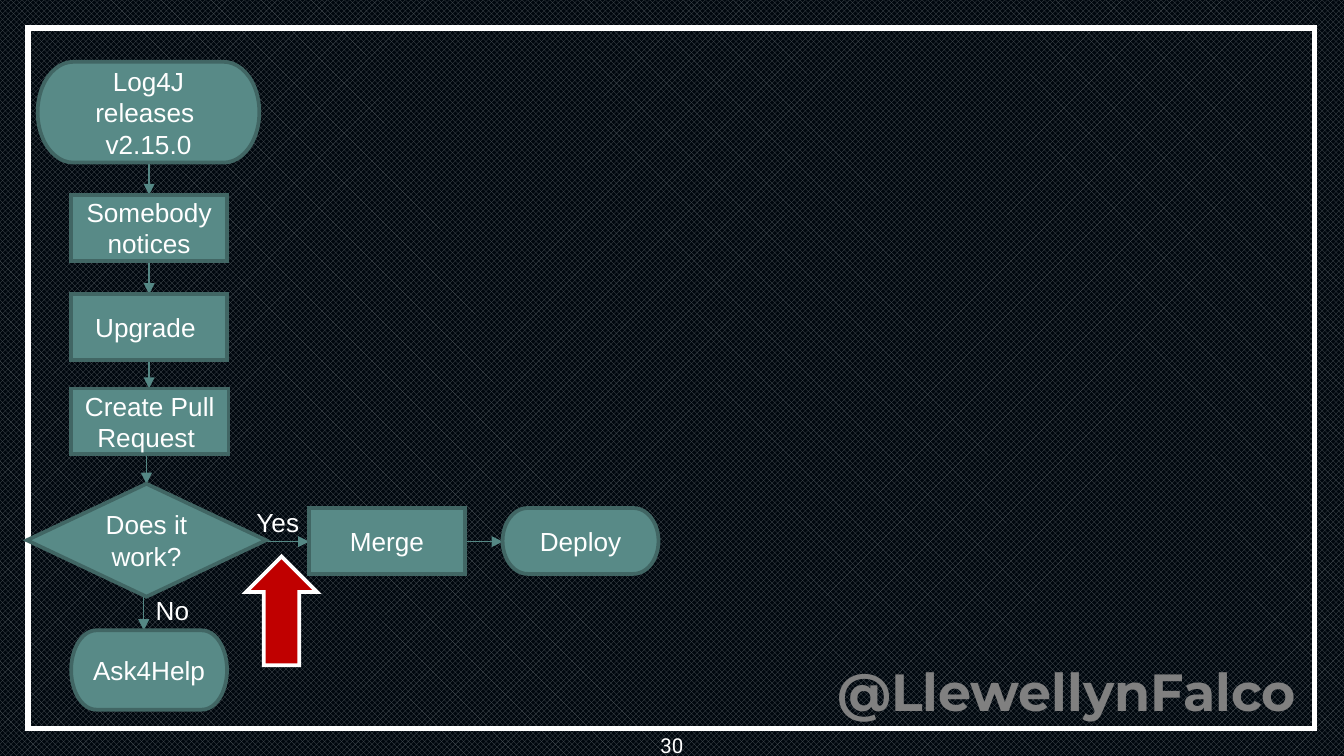
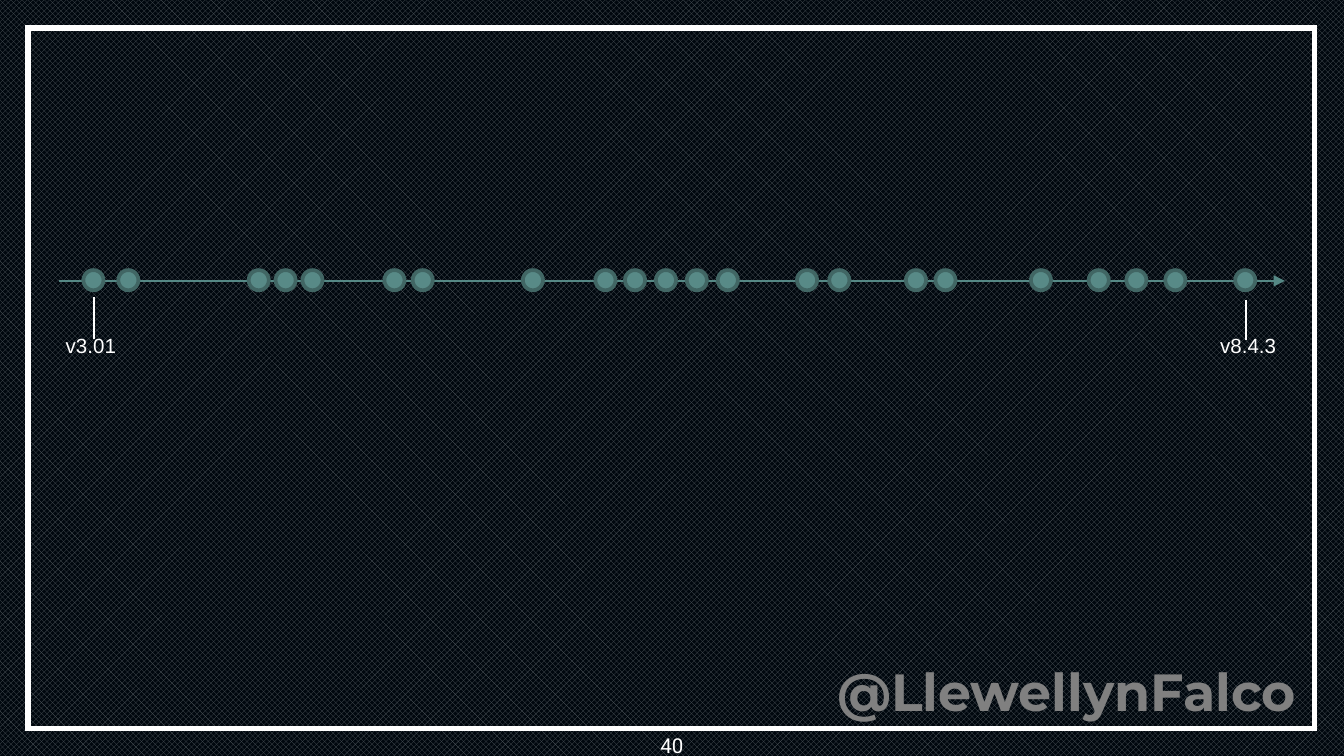
from dataclasses import dataclass

from lxml.etree import SubElement
from pptx import Presentation
from pptx.dml.color import RGBColor
from pptx.enum.dml import MSO_PATTERN
from pptx.enum.shapes import MSO_CONNECTOR, MSO_SHAPE as Shape
from pptx.enum.text import MSO_ANCHOR, PP_ALIGN
from pptx.oxml.ns import qn
from pptx.util import Inches, Pt


@dataclass(frozen=True)
class Theme:
    black: str = "000000"
    gray: str = "808080"
    navy: str = "021526"
    white: str = "FFFFFF"
    teal: str = "588A87"
    teal_edge: str = "416664"
    teal_line: str = "558885"
    red: str = "C00000"
    body_font: str = "Arial"
    handle_font: str = "Montserrat"
    number_font: str = "Roboto"
    handle_size: int = 28
    step_size: int = 14
    small_size: int = 11
    navy_opacity: int = 38
    thin: float = 0.75
    edge: float = 2
    frame: float = 3


THEME = Theme()

# Shared content
SLIDE_W = 10
SLIDE_H = SLIDE_W * 9 / 16
HANDLE = "@LlewellynFalco"

# Flow chart content: step -> (shape, box, paragraphs)
STEPS = {
    "release": (Shape.FLOWCHART_TERMINATOR, (0.28, 0.46, 1.65, 0.75),
                ["Log4J releases ", "v2.15.0"]),
    "notice": (Shape.FLOWCHART_PROCESS, (0.53, 1.45, 1.16, 0.49), ["Somebody notices"]),
    "upgrade": (Shape.FLOWCHART_PROCESS, (0.53, 2.19, 1.16, 0.49), ["Upgrade "]),
    "request": (Shape.FLOWCHART_PROCESS, (0.53, 2.89, 1.17, 0.49), ["Create Pull Request "]),
    "check": (Shape.FLOWCHART_DECISION, (0.2, 3.6, 1.78, 0.84), ["Does it work?"]),
    "help": (Shape.FLOWCHART_TERMINATOR, (0.53, 4.69, 1.16, 0.59), ["Ask4Help"]),
    "merge": (Shape.FLOWCHART_PROCESS, (2.3, 3.78, 1.16, 0.49), ["Merge"]),
    "deploy": (Shape.FLOWCHART_TERMINATOR, (3.74, 3.78, 1.16, 0.49), ["Deploy"]),
}
DOWN_LINKS = [  # from, to, x
    ("release", "notice", 1.11),
    ("notice", "upgrade", 1.11),
    ("upgrade", "request", 1.11),
    ("request", "check", 1.09),
    ("check", "help", 1.07),
]
RIGHT_LINKS = [("check", "merge"), ("merge", "deploy")]
RIGHT_LINK_Y = 4.03
ANSWERS = [("Yes", (1.81, 3.72, 0.54, 0.34)), ("No", (1.06, 4.37, 0.45, 0.34))]
POINTER_BOX = (1.69, 4.28, 0.81, 0.53)

# Timeline content
TIMELINE_X, TIMELINE_Y = (0.44, 9.56), 2.09
RELEASE_LEFTS = [0.62, 0.88, 1.85, 2.05, 2.25, 2.86, 3.07, 3.89, 4.43, 4.65, 4.88,
                 5.11, 5.34, 5.93, 6.17, 6.74, 6.96, 7.67, 8.1, 8.38, 8.67, 9.19]
DOT_TOP, DOT_SIZE = 2.01, 0.15
VERSIONS = [  # label, box, tick x, tick top, tick bottom
    ("v3.01", (0.39, 2.43, 0.58, 0.29), 0.7, 2.21, 2.52),
    ("v8.4.3", (8.98, 2.43, 0.62, 0.29), 9.27, 2.23, 2.53),
]


def rgb(color):
    return RGBColor.from_string(color)


def inches(box):
    return [Inches(value) for value in box]


def write(frame, paragraphs, size, font, color, align=None, bold=None):
    frame.text = "\n".join(paragraphs)
    for paragraph in frame.paragraphs:
        paragraph.alignment = align
        paragraph.font.size = Pt(size)
        paragraph.font.name = font
        paragraph.font.bold = bold
        paragraph.font.color.rgb = rgb(color)


def add_block(slide, kind, box, fill=None, edge=None, width=THEME.edge):
    block = slide.shapes.add_shape(kind, *inches(box))
    block.shadow.inherit = False
    if fill:
        block.fill.solid()
        block.fill.fore_color.rgb = rgb(fill)
    else:
        block.fill.background()
    if edge:
        block.line.color.rgb = rgb(edge)
        block.line.width = Pt(width)
        # Square corners
        SubElement(block._element.spPr.find(qn("a:ln")), qn("a:miter"), lim="800000")
    else:
        block.line.fill.background()
    return block


def add_label(slide, text, box, size, font=THEME.body_font, color=THEME.white,
              align=None, bold=None, wrap=False):
    frame = slide.shapes.add_textbox(*inches(box)).text_frame
    frame.word_wrap = wrap
    write(frame, [text], size, font, color, align, bold)
    return frame


def add_line(slide, start, end, color=THEME.teal_line, arrow=True):
    line = slide.shapes.add_connector(MSO_CONNECTOR.STRAIGHT, *inches(start + end))
    line.line.color.rgb = rgb(color)
    line.line.width = Pt(THEME.thin)
    properties = line._element.spPr
    if arrow:
        SubElement(properties.find(qn("a:ln")), qn("a:tailEnd"), type="triangle")
    SubElement(properties, qn("a:effectLst"))


def add_slide(deck, number):
    """Blank slide with the shared background, frame, handle and number."""
    slide = deck.slides.add_slide(deck.slide_layouts[6])
    backdrop = slide.background.fill
    backdrop.patterned()
    backdrop.pattern = MSO_PATTERN.TRELLIS
    backdrop.fore_color.rgb = rgb(THEME.gray)
    backdrop.back_color.rgb = rgb(THEME.black)

    veil = add_block(slide, Shape.RECTANGLE, (0, 0, SLIDE_W, 5.64), THEME.navy)
    veil_color = veil._element.spPr.find(qn("a:solidFill"))[0]
    SubElement(veil_color, qn("a:alpha"), val=str(THEME.navy_opacity * 1000))
    add_block(slide, Shape.RECTANGLE, (0.21, 0.21, 9.57, 5.21),
              edge=THEME.white, width=THEME.frame)

    add_label(slide, HANDLE, (6.13, 4.86, 3.95, 0.57), THEME.handle_size,
              THEME.handle_font, THEME.gray, bold=True, wrap=True)
    footer = add_label(slide, str(number), (0, 5.36, SLIDE_W, 0.23), THEME.small_size,
                       THEME.number_font, align=PP_ALIGN.CENTER, wrap=True)
    footer.margin_top = footer.margin_bottom = Inches(0.1)
    return slide


def build_flow(deck):
    slide = add_slide(deck, 30)

    # Arrows run from the edge of one step to the edge of the next
    for source, target, x in DOWN_LINKS:
        _, top, _, height = STEPS[source][1]
        add_line(slide, (x, top + height), (x, STEPS[target][1][1]))
    for source, target in RIGHT_LINKS:
        left, _, width, _ = STEPS[source][1]
        add_line(slide, (left + width, RIGHT_LINK_Y), (STEPS[target][1][0], RIGHT_LINK_Y))

    # Steps and answers
    for kind, box, paragraphs in STEPS.values():
        step = add_block(slide, kind, box, THEME.teal, THEME.teal_edge)
        step.text_frame.word_wrap = True
        step.text_frame.vertical_anchor = MSO_ANCHOR.MIDDLE
        write(step.text_frame, paragraphs, THEME.step_size, THEME.body_font,
              THEME.white, PP_ALIGN.CENTER)
    for answer, box in ANSWERS:
        add_label(slide, answer, box, THEME.step_size)

    # Pointer at the "Yes" branch
    pointer = add_block(slide, Shape.RIGHT_ARROW, POINTER_BOX, THEME.red, THEME.white)
    pointer.rotation = 270


def build_timeline(deck):
    slide = add_slide(deck, 40)
    start, end = TIMELINE_X
    add_line(slide, (start, TIMELINE_Y), (end, TIMELINE_Y))
    for left in RELEASE_LEFTS:
        add_block(slide, Shape.OVAL, (left, DOT_TOP, DOT_SIZE, DOT_SIZE),
                  THEME.teal, THEME.teal_edge)
    for version, box, x, top, bottom in VERSIONS:
        add_label(slide, version, box, THEME.small_size)
        add_line(slide, (x, top), (x, bottom), THEME.white, arrow=False)


def main():
    deck = Presentation()
    deck.slide_width, deck.slide_height = Inches(SLIDE_W), Inches(SLIDE_H)
    build_flow(deck)
    build_timeline(deck)
    deck.save("out.pptx")


if __name__ == "__main__":
    main()
